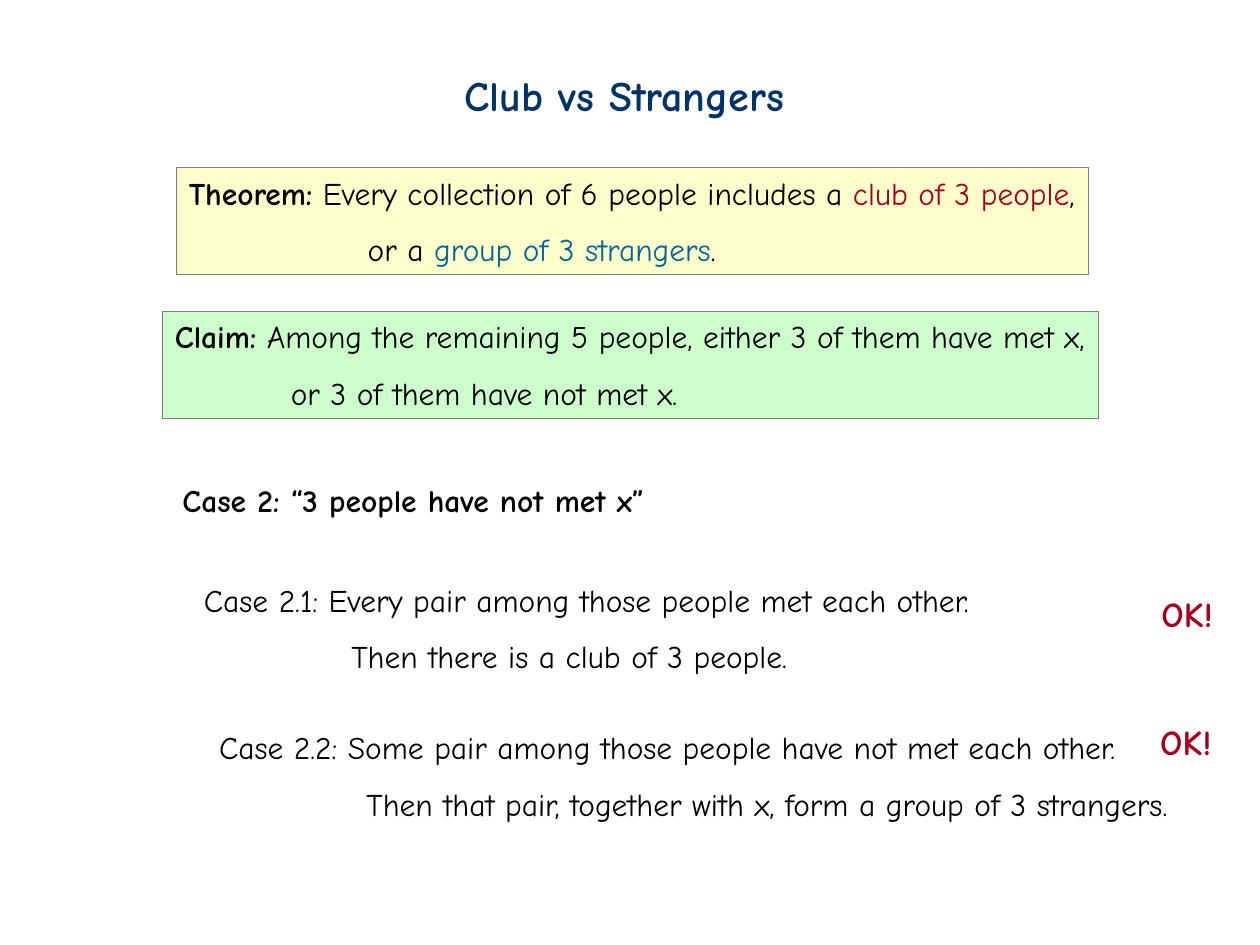
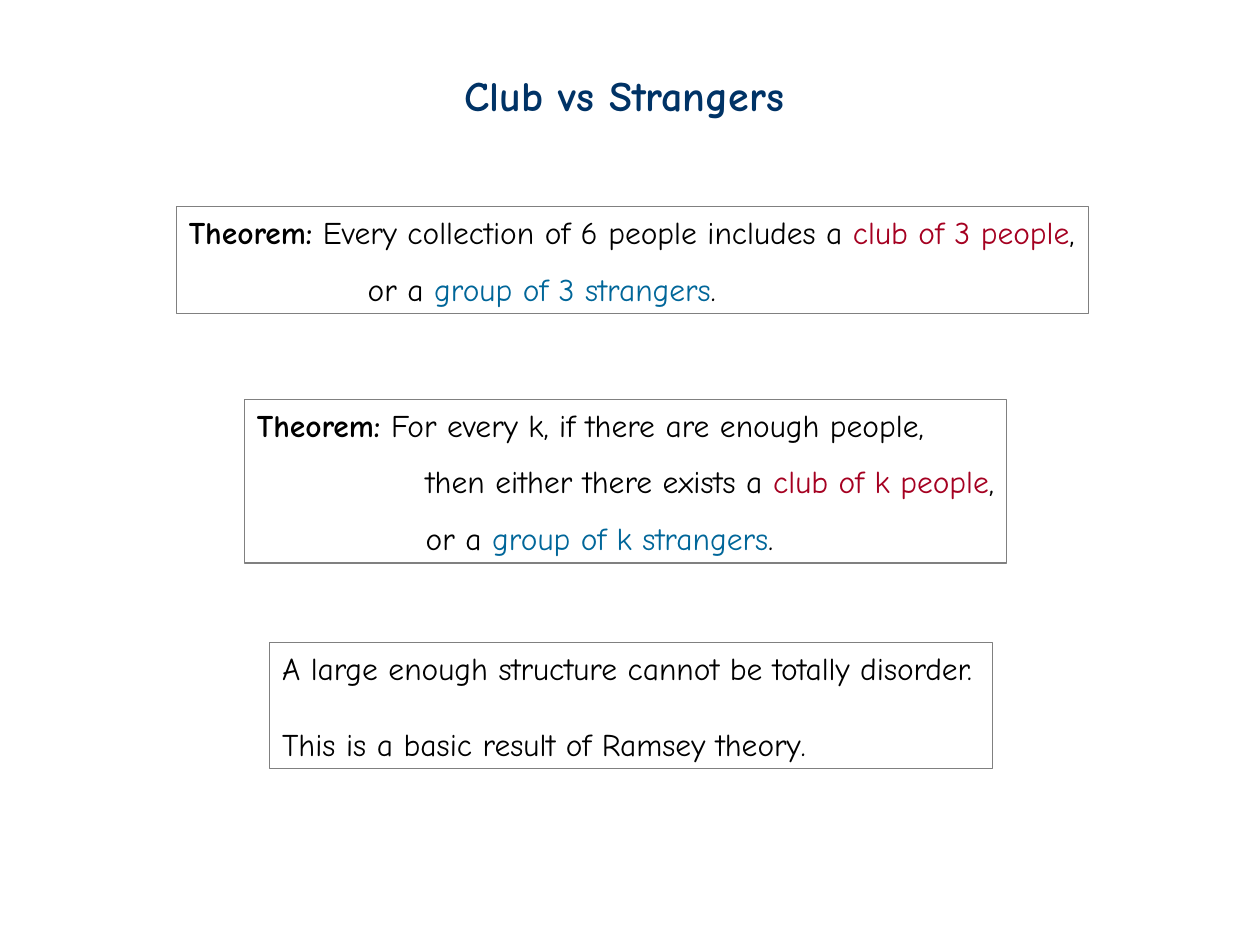
from pptx import Presentation
from pptx.dml.color import RGBColor
from pptx.enum import shapes, text
from pptx.util import Inches, Pt

FONT = "Comic Neue"
NAVY = RGBColor(0x00, 0x33, 0x66)
BLACK = RGBColor(0, 0, 0)
RED = RGBColor(0xA5, 0x00, 0x21)
BLUE = RGBColor(0x00, 0x66, 0x99)
GRAY = RGBColor(0x80, 0x80, 0x80)
YELLOW = RGBColor(0xFF, 0xFF, 0xCC)
GREEN = RGBColor(0xCC, 0xFF, 0xCC)


def add_run(p, words, size=18, color=BLACK, bold=False):
    r = p.add_run()
    r.text = words
    r.font.name = FONT
    r.font.size = Pt(size)
    r.font.bold = bold
    r.font.color.rgb = color


def write(sp, lines, indent=0, spacing=1.5, before=0, **style):
    tf = sp.text_frame
    tf.word_wrap = False
    tf.auto_size = text.MSO_AUTO_SIZE.SHAPE_TO_FIT_TEXT
    tf.vertical_anchor = text.MSO_ANCHOR.TOP
    for i, line in enumerate(lines):
        p = tf.add_paragraph() if i else tf.paragraphs[0]
        p.alignment = text.PP_ALIGN.LEFT
        if i:
            p.line_spacing = spacing
            p.space_before = Pt(before)
            p._p.get_or_add_pPr().set("marL", str(Inches(indent)))
        for part in [line] if isinstance(line, str) else line:
            words, own = (part, {}) if isinstance(part, str) else part
            add_run(p, words, **{**style, **own})


def label(s, box, *lines, **style):
    write(s.shapes.add_textbox(*map(Inches, box)), lines, **style)


def framed(s, box, *lines, fill=None, **style):
    sp = s.shapes.add_shape(shapes.MSO_SHAPE.RECTANGLE, *map(Inches, box))
    sp.shadow.inherit = False
    if fill is None:
        sp.fill.background()
    else:
        sp.fill.solid()
        sp.fill.fore_color.rgb = fill
    sp.line.color.rgb = GRAY
    sp.line.width = Pt(0.75)
    write(sp, lines, **style)


def bold(words):
    return words, {"bold": True}


def club(size):
    return f"club of {size} people", {"color": RED}


def strangers(size):
    return f"group of {size} strangers", {"color": BLUE}


def titled_slide(prs):
    s = prs.slides.add_slide(prs.slide_layouts[6])
    label(s, (3.59, 0.5, 2.74, 0.5), "Club vs Strangers",
          size=24, color=NAVY, bold=True)
    return s


def six_people_theorem(s, top, fill=None):
    framed(s, (1.4, top, 7.24, 0.85),
           [bold("Theorem:"), " Every collection of 6 people includes a ",
            club(3), ","],
           ["or a ", strangers(3), "."],
           indent=1.42, fill=fill)


def subcase(s, box, ok_left, ok_top, *lines):
    label(s, box, *lines, indent=1.17)
    label(s, (ok_left, ok_top, 0.7, 0.44), "OK!", size=20, color=RED, bold=True)


def case_slide(prs):
    s = titled_slide(prs)
    six_people_theorem(s, 1.33, YELLOW)
    framed(s, (1.29, 2.47, 7.43, 0.85),
           [bold("Claim:"),
            " Among the remaining 5 people, either 3 of them have met x,"],
           "or 3 of them have not met x.",
           indent=0.92, fill=GREEN)
    label(s, (1.35, 3.77, 3.87, 0.4), "Case 2: “3 people have not met x”",
          bold=True)
    subcase(s, (1.52, 4.56, 6.3, 0.85), 9.12, 4.65,
            "Case 2.1: Every pair among those people met each other.",
            "Then there is a club of 3 people.")
    subcase(s, (1.64, 5.73, 7.77, 0.85), 9.11, 5.67,
            "Case 2.2: Some pair among those people have not met each other.",
            "Then that pair, together with x, form a group of 3 strangers.")


def general_slide(prs):
    s = titled_slide(prs)
    six_people_theorem(s, 1.64)
    framed(s, (1.94, 3.17, 6.05, 1.3),
           [bold("Theorem:"), " For every k, if there are enough people,"],
           ["then either there exists a ", club("k"), ","],
           ["or a ", strangers("k"), "."],
           indent=1.34)
    framed(s, (2.14, 5.1, 5.74, 1),
           "A large enough structure cannot be totally disorder.",
           "This is a basic result of Ramsey theory.",
           spacing=1.0, before=21.7)


def main():
    prs = Presentation()
    prs.slide_width, prs.slide_height = Inches(10), Inches(7.5)
    case_slide(prs)
    general_slide(prs)
    prs.save("out.pptx")


if __name__ == "__main__":
    main()
